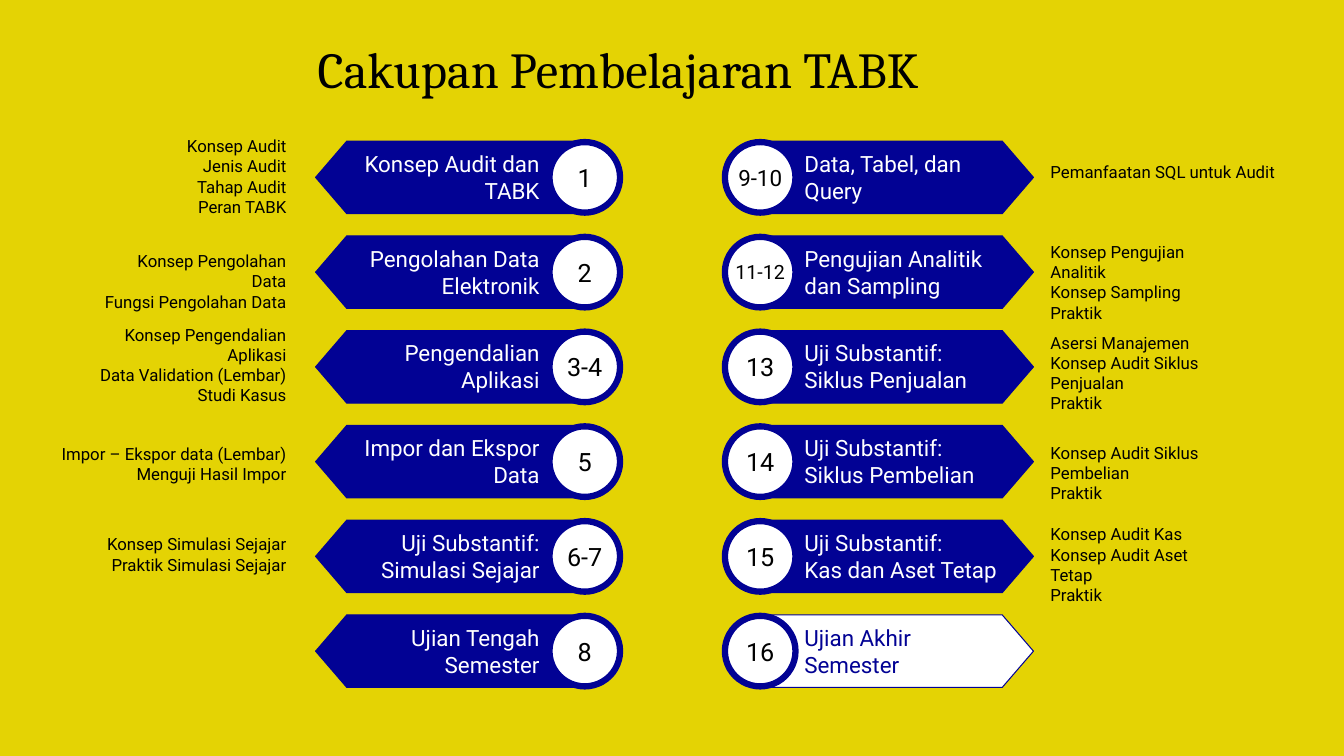
"""Build the slide listing the sixteen TABK learning sessions in two columns."""
from pptx import Presentation
from pptx.dml.color import RGBColor
from pptx.enum.shapes import MSO_SHAPE
from pptx.enum.text import MSO_ANCHOR, MSO_AUTO_SIZE, PP_ALIGN
from pptx.util import Inches, Pt

HEXAGON, OVAL = MSO_SHAPE.HEXAGON, MSO_SHAPE.OVAL
LEFT, CENTER, RIGHT = PP_ALIGN.LEFT, PP_ALIGN.CENTER, PP_ALIGN.RIGHT
TOP, MIDDLE = MSO_ANCHOR.TOP, MSO_ANCHOR.MIDDLE
NO_AUTOFIT = MSO_AUTO_SIZE.NONE
NAVY, WHITE, BLACK, YELLOW = "020294", "FFFFFF", "000000", "E4D304"

FIRST_ROW, ROW_PITCH = 1.4, 0.94
BANNER_WIDTH, BANNER_HEIGHT, RING = 3.01, 0.72, 0.7
HEADING_WIDTH, HEADING_HEIGHT = 2.19, 0.64
LEFT_NOTE_EDGE, RIGHT_NOTE_EDGE = 2.94, 10.32


def write(shape, text, size=12, color=BLACK, font="Roboto", align=LEFT,
          anchor=TOP, wrap=True, inset=None):
    """Fill a shape with one paragraph per line of text."""
    frame = shape.text_frame
    frame.auto_size = NO_AUTOFIT
    frame.word_wrap = wrap
    frame.vertical_anchor = anchor
    if inset is not None:
        frame.margin_left = frame.margin_right = Inches(inset)
        frame.margin_top = frame.margin_bottom = Inches(inset)
    frame.text = text
    for paragraph in frame.paragraphs:
        paragraph.alignment = align
        paragraph.font.name = font
        paragraph.font.size = Pt(size)
        paragraph.font.color.rgb = RGBColor.from_string(color)


def add_outlined(kind, box, fill, line_width):
    """Add a navy-outlined preset shape without shadow."""
    shape = slide.shapes.add_shape(kind, *map(Inches, box))
    shape.shadow.inherit = False
    shape.fill.solid()
    shape.fill.fore_color.rgb = RGBColor.from_string(fill)
    shape.line.color.rgb = RGBColor.from_string(NAVY)
    shape.line.width = Pt(line_width)
    return shape


presentation = Presentation()
presentation.slide_width = Inches(13.33)
presentation.slide_height = Inches(7.5)
slide = presentation.slides.add_slide(presentation.slide_layouts[5])
slide.background.fill.solid()
slide.background.fill.fore_color.rgb = RGBColor.from_string(YELLOW)

title = slide.shapes.title
title.left, title.top = Inches(3.05), Inches(0.33)
title.width, title.height = Inches(7.2), Inches(0.71)
write(title, "Cakupan Pembelajaran TABK", size=36, font="Cambria")

left_sessions = [
    ("1", "Konsep Audit dan TABK"),
    ("2", "Pengolahan Data Elektronik"),
    ("3-4", "Pengendalian Aplikasi"),
    ("5", "Impor dan Ekspor Data"),
    ("6-7", "Uji Substantif:\nSimulasi Sejajar"),
    ("8", "Ujian Tengah Semester"),
]
right_sessions = [
    ("9-10", "Data, Tabel, dan Query"),
    ("11-12", "Pengujian Analitik dan Sampling"),
    ("13", "Uji Substantif:\nSiklus Penjualan"),
    ("14", "Uji Substantif:\nSiklus Pembelian"),
    ("15", "Uji Substantif:\nKas dan Aset Tetap"),
    ("16", "Ujian Akhir Semester"),
]
number_sizes = {"9-10": 16, "11-12": 14}

columns = [
    (left_sessions, 3.13, 5.45, 3.26, RIGHT),
    (right_sessions, 7.24, 7.19, 7.88, LEFT),
]
for sessions, banner_left, ring_left, heading_left, align in columns:
    for row, (number, heading) in enumerate(sessions):
        top = FIRST_ROW + row * ROW_PITCH
        is_final_exam = number == "16"
        banner = add_outlined(HEXAGON, (banner_left, top, BANNER_WIDTH, BANNER_HEIGHT),
                              WHITE if is_final_exam else NAVY, 0.75)
        banner.adjustments[0] = 0.43
        ring = add_outlined(OVAL, (ring_left, top + (BANNER_HEIGHT - RING) / 2, RING, RING),
                            WHITE, 4.5)
        write(ring, number, size=number_sizes.get(number, 18), align=CENTER,
              anchor=MIDDLE, wrap=False, inset=0)
        heading_top = top + (BANNER_HEIGHT - HEADING_HEIGHT) / 2
        heading_box = slide.shapes.add_textbox(
            *map(Inches, (heading_left, heading_top, HEADING_WIDTH, HEADING_HEIGHT)))
        write(heading_box, heading, size=16, align=align,
              color=NAVY if is_final_exam else WHITE)

left_notes = [
    (1.3, 2.89, 0.91, "Konsep Audit\nJenis Audit\nTahap Audit\nPeran TABK"),
    (2.44, 2.03, 0.71, "Konsep Pengolahan Data\nFungsi Pengolahan Data"),
    (3.17, 2.3, 0.91, "Konsep Pengendalian Aplikasi\nData Validation (Lembar)\nStudi Kasus"),
    (4.35, 2.89, 0.5, "Impor – Ekspor data (Lembar)\nMenguji Hasil Impor"),
    (5.25, 2.89, 0.5, "Konsep Simulasi Sejajar\nPraktik Simulasi Sejajar"),
]
right_notes = [
    (1.56, 2.6, 0.3, "Pemanfaatan SQL untuk Audit"),
    (2.35, 1.9, 0.91, "Konsep Pengujian Analitik\nKonsep Sampling\nPraktik"),
    (3.25, 1.9, 0.91, "Asersi Manajemen\nKonsep Audit Siklus Penjualan\nPraktik"),
    (4.34, 1.9, 0.71, "Konsep Audit Siklus Pembelian\nPraktik"),
    (5.15, 1.9, 0.91, "Konsep Audit Kas\nKonsep Audit Aset Tetap\nPraktik"),
]
for notes, align in ((left_notes, RIGHT), (right_notes, LEFT)):
    for top, width, height, text in notes:
        left = LEFT_NOTE_EDGE - width if align == RIGHT else RIGHT_NOTE_EDGE
        note = slide.shapes.add_textbox(*map(Inches, (left, top, width, height)))
        write(note, text, align=align)

presentation.save("out.pptx")
